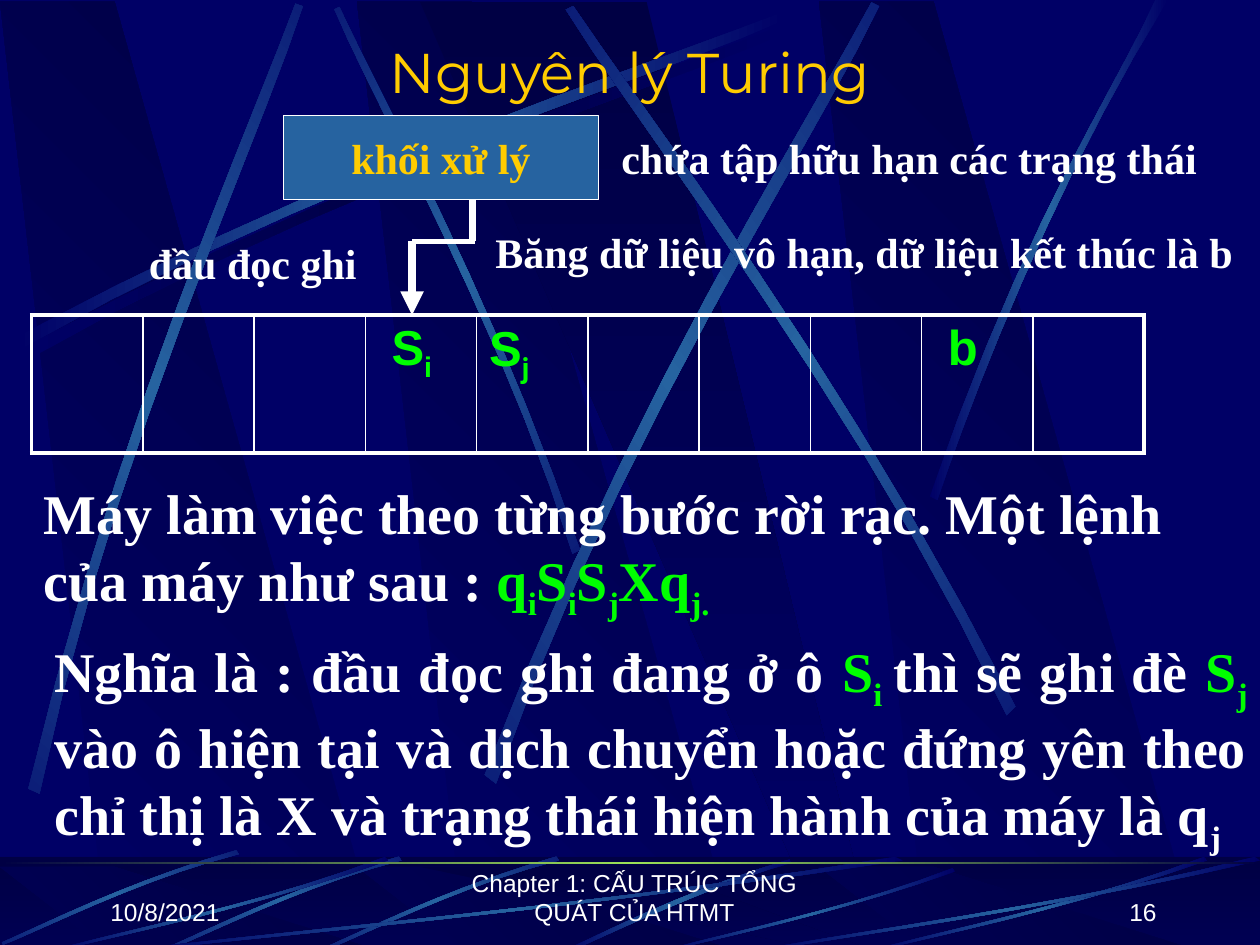
import math
from pptx import Presentation
from pptx.dml.color import RGBColor
from pptx.enum import shapes, text
from pptx.oxml import parse_xml
from pptx.oxml.ns import nsdecls, qn
from pptx.util import Pt

NAVY, DEEP, BLUE, WHITE = "000066", "000044", "2663A0", "FFFFFF"
GOLD, GREEN = "FFCC00", "00FF00"
SERIF, SANS = "Times New Roman", "Arial"
CENTER, LEFT = text.PP_ALIGN.CENTER, text.PP_ALIGN.LEFT
RIGHT, JUSTIFY = text.PP_ALIGN.RIGHT, text.PP_ALIGN.JUSTIFY
color = RGBColor.from_string


def paint(shape, colors, angle):
    """Fill a borderless shape with evenly spaced gradient stops."""
    shape.shadow.inherit = False
    shape.line.fill.background()
    shape.fill.background()
    stops = "".join(
        f'<a:gs pos="{100000 * i // (len(colors) - 1)}"><a:srgbClr val="{c}"/></a:gs>'
        for i, c in enumerate(colors))
    properties = shape.element.spPr
    properties.replace(properties.find(qn("a:noFill")), parse_xml(
        f'<a:gradFill {nsdecls("a")} rotWithShape="1"><a:gsLst>{stops}</a:gsLst>'
        f'<a:lin ang="{angle * 60000}" scaled="0"/></a:gradFill>'))


def write(frame, runs, size, font, align=LEFT, bold=False):
    """Fill the first paragraph; a run that starts with _ is a subscript."""
    paragraph = frame.paragraphs[0]
    paragraph.alignment = align
    for words, hex_color, *other_font in runs:
        run = paragraph.add_run()
        run.text = words.lstrip("_")
        style = {"size": Pt(size), "name": (other_font or [font])[0], "bold": bold}
        for name, value in style.items():
            setattr(run.font, name, value)
        run.font.color.rgb = color(hex_color)
        if words.startswith("_"):
            run.font._element.set("baseline", "-25000")


presentation = Presentation()
presentation.slide_width, presentation.slide_height = Pt(720), Pt(540)
slide = presentation.slides.add_slide(presentation.slide_layouts[5])
slide.background.fill.solid()
slide.background.fill.fore_color.rgb = color(NAVY)

# Background streaks: two curves of four points each, rotation, middle colour
ARC = [(14.4, 198), (204.5, 96.5), (377.3, 42.5), (450.7, 13),
       (452.9, 17.3), (380.2, 49.7), (182.9, 108.7), (16.6, 205.2)]
upper_streaks = [
    (ARC, 0, DEEP),
    ([(331.2, 313.9), (281.5, 168.5), (217.4, 55.4), (193.7, 3.6),
      (190.8, 5), (212.4, 56.9), (286.6, 185.8), (326.9, 316.1)], 45, BLUE),
    ([(x - 4.3, y - 5.8) for x, y in ARC], 0, BLUE),
    ([(16.6, 450), (67, 240.5), (141.8, 75.6), (169.2, 1.4),
      (173.5, 2.9), (149, 78.5), (61.9, 265), (23, 452.9)], 311.7, BLUE),
    ([(277.2, 442.1), (358.6, 230.4), (459.4, 73.4), (498.2, 0.7),
      (502.6, 2.9), (467.3, 77.8), (349.9, 255.6), (283.7, 447.1)], 321.6, BLUE),
    ([(580.3, 403.2), (482.4, 211), (371.5, 68.4), (327.6, 2.9),
      (323.3, 5), (365, 72.7), (493.2, 234), (575.3, 408.2)], 34.7, BLUE),
    ([(531.4, 283.7), (586.1, 124.6), (639.4, 47.5), (660.2, 0),
      (667.4, 0), (601.9, 104.4), (553.7, 231.8), (535.7, 285.8)], 0, BLUE),
]
SHORT = [(133.9, 489.6), (71.3, 507.6), (22.3, 532.8), (0, 542.2),
         (0.7, 543.6), (23, 535), (78.5, 506.2), (135.4, 491.8)]
SWEEP = [(1, 0.04), (0.57, 0.57), (0.17, 0.85), (0.01, 1),
         (0, 0.99), (0.17, 0.81), (0.62, 0.51), (0.99, 0)]
lower_streaks = [
    ([(451.4, 491), (386.6, 510.5), (343.4, 534.2), (322.6, 542.9),
      (326.2, 543.6), (352.8, 531.4), (411.1, 504), (452.2, 493.2)], 0, BLUE)]
for left, rise in ((184.3, 0), (94.3, 0), (1.4, 3.6)):
    lower_streaks.append(([(left + x, y - rise) for x, y in SHORT], 315, BLUE))
for left, width, height in ((72, 444, 54), (30, 192, 54), (379.5, 166.5, 47.5),
                            (498, 192, 54), (432, 288, 54)):
    lower_streaks.append(
        ([(left + width * x, 543.6 - height + height * y) for x, y in SWEEP], 0, BLUE))

# Draw the upper background, then the footer strip
for top, bottom, streaks in ((1, 541.5, upper_streaks), (495.4, 543.6, lower_streaks)):
    if streaks is lower_streaks:
        strip = slide.shapes.add_shape(
            shapes.MSO_SHAPE.RECTANGLE, 0, Pt(489.6), Pt(720), Pt(54))
        paint(strip, [DEEP, NAVY], 90)
    bands = [([(x + 62, bottom), (x + 217.5, bottom), (x + 65.5, top), (x, top)],
              [NAVY, DEEP], 315) for x in (204, 0, 468)]
    bands.append(([(240, top), (474, bottom), (500, bottom), (369.5, top)],
                  [DEEP, NAVY], 90))
    for points, colors, angle in bands:
        corners = [(Pt(x), Pt(y)) for x, y in points]
        builder = slide.shapes.build_freeform(*corners[0])
        builder.add_line_segments(corners[1:])
        paint(builder.convert_to_shape(), colors, angle)
    if streaks is lower_streaks:
        veil = slide.shapes.add_shape(
            shapes.MSO_SHAPE.RECTANGLE, 0, Pt(489.6), Pt(720), Pt(54))
        veil.shadow.inherit = False
        veil.line.fill.background()
        veil.fill.solid()
        veil.fill.fore_color.rgb = color(DEEP)
        veil.element.spPr.find(".//" + qn("a:srgbClr")).append(
            parse_xml(f'<a:alpha {nsdecls("a")} val="50000"/>'))
    for points, rotation, middle in streaks:
        outline = []
        for a, b, c, d in (points[:4], points[4:]):
            for t in (step / 10 for step in range(11)):
                s = 1 - t
                outline.append([s**3 * a[i] + 3 * s * s * t * b[i] + 3 * s * t * t * c[i]
                                + t**3 * d[i] for i in (0, 1)])
        # Turn the outline back about its centre; the shape's rotation restores it
        xs, ys = zip(*outline)
        center_x, center_y = (min(xs) + max(xs)) / 2, (min(ys) + max(ys)) / 2
        cosine, sine = math.cos(math.radians(rotation)), math.sin(math.radians(rotation))
        turned = [(Pt(center_x + (x - center_x) * cosine + (y - center_y) * sine),
                   Pt(center_y - (x - center_x) * sine + (y - center_y) * cosine))
                  for x, y in outline]
        builder = slide.shapes.build_freeform(*turned[0])
        builder.add_line_segments(turned[1:])
        streak = builder.convert_to_shape()
        streak.rotation = rotation
        paint(streak, [NAVY, middle, NAVY], 0)
rule = slide.shapes.add_shape(shapes.MSO_SHAPE.RECTANGLE, 0, Pt(492.5), Pt(720), Pt(1.5))
paint(rule, [DEEP, "9CE157", DEEP], 0)

# Title, brought in front of the background
title = slide.shapes.title
title.left, title.top, title.width, title.height = Pt(54), Pt(18), Pt(612), Pt(45)
title.text_frame.vertical_anchor = text.MSO_ANCHOR.MIDDLE
write(title.text_frame, [("Nguyên lý Turing", GOLD)], 32, "Montserrat", CENTER)
slide.shapes.element.append(title.element)

# Tape
tape = slide.shapes.add_table(1, 10, Pt(18), Pt(180), Pt(636), Pt(79)).table
tape.first_row = tape.horz_banding = False
tape.rows[0].height = Pt(79)
symbols = {3: [("S", GREEN), ("_i", GREEN)],
           4: [("S", GREEN), ("_j", GREEN, "Roboto")],
           8: [("b", GREEN)]}
for column, cell in enumerate(tape.rows[0].cells):
    tape.columns[column].width = Pt(63.6)
    widths = {"L": 2.25 if column == 0 else 1, "R": 2.25 if column == 9 else 1,
              "T": 2.25, "B": 2.25}
    for side, width in widths.items():
        cell._tc.get_or_add_tcPr().append(parse_xml(
            f'<a:ln{side} {nsdecls("a")} w="{Pt(width)}"><a:solidFill>'
            f'<a:srgbClr val="{WHITE}"/></a:solidFill></a:ln{side}>'))
    cell.fill.background()
    if column in symbols:
        cell.margin_left = Pt(7.2 if column == 4 else 15)
        write(cell.text_frame, symbols[column], 28, SANS, bold=True)

# Processing unit
unit = slide.shapes.add_shape(shapes.MSO_SHAPE.RECTANGLE, Pt(162), Pt(66), Pt(180), Pt(48))
unit.shadow.inherit = False
unit.fill.solid()
unit.fill.fore_color.rgb = color(BLUE)
unit.line.color.rgb = color(WHITE)
unit.line.width = Pt(0.75)
unit.text_frame.word_wrap = False
unit.text_frame.vertical_anchor = text.MSO_ANCHOR.MIDDLE
write(unit.text_frame, [("khối xử lý", GOLD)], 24, SERIF, CENTER, True)

# Read/write head
for x1, y1, x2, y2, width, arrow in ((235.5, 138, 235.5, 180, 4.5, True),
                                     (235.5, 138, 271.5, 138, 3, False),
                                     (270, 138, 270, 114, 4.5, False)):
    line = slide.shapes.add_connector(
        shapes.MSO_CONNECTOR.STRAIGHT, Pt(x1), Pt(y1), Pt(x2), Pt(y2))
    line.line.color.rgb = color(WHITE)
    line.line.width = Pt(width)
    if arrow:
        line.line._get_or_add_ln().append(
            parse_xml(f'<a:tailEnd {nsdecls("a")} type="triangle"/>'))
    line.element.spPr.append(parse_xml(f'<a:effectLst {nsdecls("a")}/>'))

# Text boxes: place, size, font, alignment, bold, anchor, runs
TOP, BOTTOM = text.MSO_ANCHOR.TOP, text.MSO_ANCHOR.BOTTOM
text_boxes = [
    ((56, 497, 150, 36), 14, SANS, LEFT, False, BOTTOM, [("10/8/2021", WHITE)]),
    ((248.5, 497, 228, 36), 14, SANS, CENTER, False, BOTTOM,
     [("Chapter 1: CẤU TRÚC TỔNG QUÁT CỦA HTMT", WHITE)]),
    ((518, 497, 150, 36), 14, SANS, RIGHT, False, BOTTOM, [("16", WHITE)]),
    ((18, 270, 660, 84), 32, SERIF, LEFT, True, TOP,
     [("Máy làm việc theo từng bước rời rạc. Một lệnh của máy như sau : ", WHITE)]
     + [(part, GREEN) for part in ("q", "_i", "S", "_i", "S", "_j", "Xq", "_j.")]),
    ((24, 360, 696, 122.5), 32, SERIF, JUSTIFY, True, TOP,
     [("Nghĩa là : đầu đọc ghi đang ở ô ", WHITE), ("S", GREEN), ("_i ", GREEN),
      ("thì sẽ ghi đè ", WHITE), ("S", GREEN), ("_j ", GREEN),
      ("vào ô hiện tại và dịch chuyển hoặc đứng yên theo chỉ thị là X "
       "và trạng thái hiện hành của máy là q", WHITE), ("_j", WHITE)]),
    ((78, 132, 156, 36), 24, SERIF, LEFT, True, TOP, [("đầu đọc ghi", WHITE)]),
    ((348, 72, 354, 36), 24, SERIF, LEFT, True, TOP,
     [("chứa tập hữu hạn các trạng thái", WHITE)]),
    ((276, 126, 444, 36), 24, SERIF, LEFT, True, TOP,
     [("Băng dữ liệu vô hạn, dữ liệu kết thúc là b", WHITE)]),
]
for place, size, font, align, bold, anchor, runs in text_boxes:
    frame = slide.shapes.add_textbox(*map(Pt, place)).text_frame
    frame.word_wrap = True
    frame.vertical_anchor = anchor
    write(frame, runs, size, font, align, bold)

presentation.save("out.pptx")
